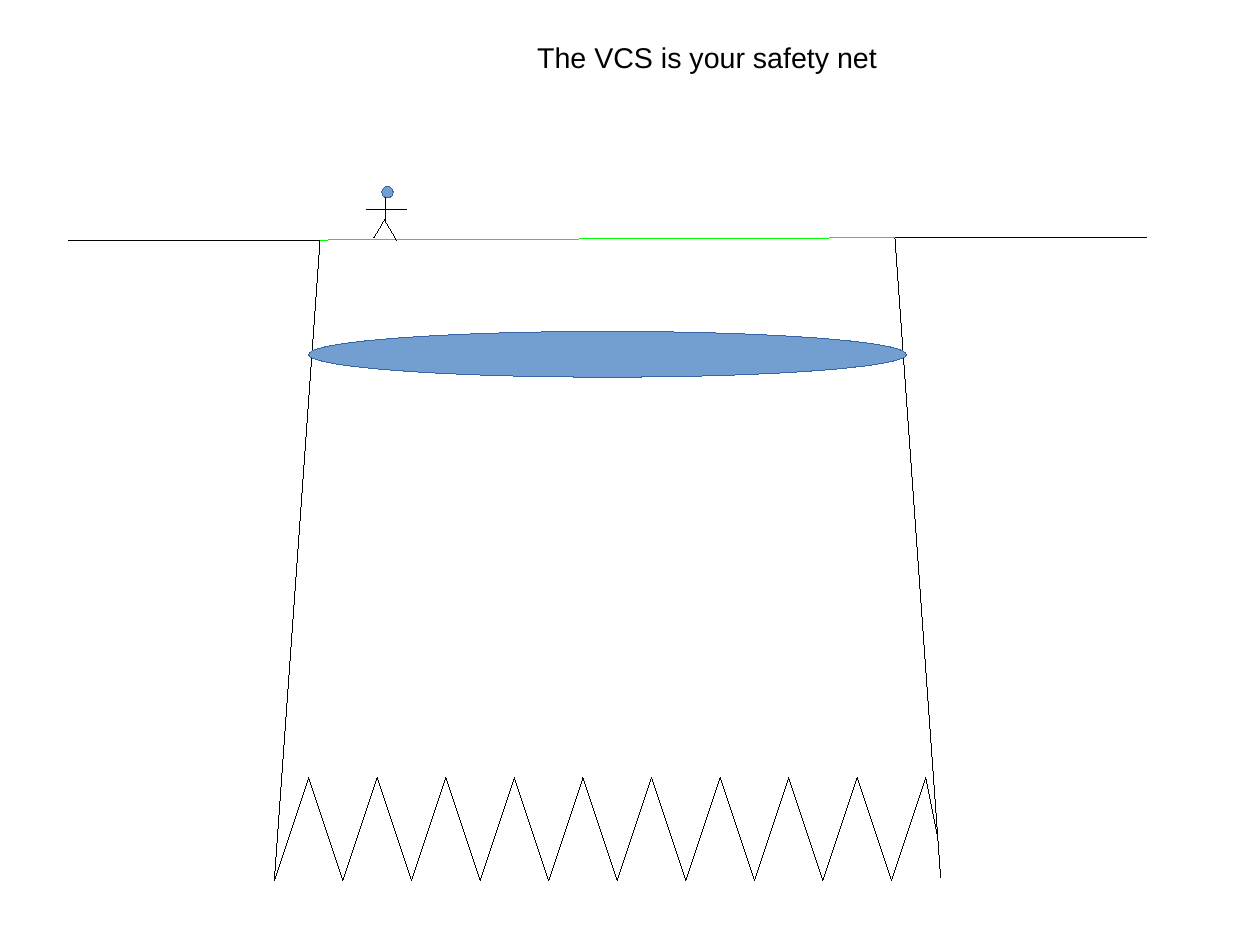
import pptx
import pptx.dml.color
import pptx.enum.shapes
import pptx.enum.text
import pptx.oxml
import pptx.oxml.ns
import pptx.util

COLOURS = {"ink": "000000", "rope": "00FF00", "fill": "729FCF", "edge": "3465A4"}
CELL = 0.1
SPIKES = 10
HAIRLINE = pptx.util.Pt(0.01)


def cells(count):
    """Turn a number of grid columns or rows into a length."""
    return pptx.util.Inches(count * CELL)


def colour(name):
    """Look up a named colour."""
    return pptx.dml.color.RGBColor.from_string(COLOURS[name])


def draw_line(page, box, start, end, name="ink"):
    """Draw a hairline between two grid points measured from the box corner."""
    left, top = box[:2]
    points = [cells(value) for value in
              (left + start[0], top + start[1], left + end[0], top + end[1])]
    line = page.shapes.add_connector(pptx.enum.shapes.MSO_CONNECTOR.STRAIGHT, *points)
    line.line.color.rgb = colour(name)
    line.line.width = HAIRLINE
    properties = line._element.find(pptx.oxml.ns.qn("p:spPr"))
    properties.append(pptx.oxml.parse_xml(
        "<a:effectLst %s/>" % pptx.oxml.ns.nsdecls("a")))


def draw_ellipse(page, box):
    """Draw a blue ellipse that fills the box."""
    ellipse = page.shapes.add_shape(
        pptx.enum.shapes.MSO_SHAPE.OVAL, *[cells(value) for value in box])
    ellipse.shadow.inherit = False
    ellipse.fill.solid()
    ellipse.fill.fore_color.rgb = colour("fill")
    ellipse.line.color.rgb = colour("edge")
    ellipse.line.width = HAIRLINE


def draw_cliff(page, box, direction):
    """Draw level ground up to the box corner and the wall falling from it."""
    width, height = box[2:]
    draw_line(page, box, (direction * 22, 0), (0, 0))
    draw_line(page, box, (0, 0), (direction * width, height))


def draw_spikes(page, box):
    """Draw a row of spikes whose last one meets the right wall."""
    width, height = box[2:]
    pitch = width / (SPIKES - 0.5)
    for index in range(SPIKES):
        foot = index * pitch
        peak = (foot + pitch / 2, 0)
        last = index == SPIKES - 1
        end = (peak[0] + 1, 5) if last else (foot + pitch, height)
        draw_line(page, box, (foot, height), peak)
        draw_line(page, box, peak, end)


def draw_walker(page, box):
    """Draw a stick figure standing in the box."""
    left, top, width, height = box
    middle = 1.6
    limbs = [
        ((middle, 1), (middle, 3)),
        ((middle, 3), (middle + 1, height)),
        ((middle, 2.8), (middle - 1, height - 0.2)),
        ((0, 2), (width, 2)),
    ]
    draw_ellipse(page, (left + 1.3, top, 1, 1))
    for start, end in limbs:
        draw_line(page, box, start, end)


def write_title(page, box):
    """Place and format the title in the box."""
    title = page.shapes.title
    title.left, title.top, title.width, title.height = [cells(value) for value in box]
    frame = title.text_frame
    frame.text = "The VCS is your safety net"
    frame_format = {
        "word_wrap": True,
        "auto_size": pptx.enum.text.MSO_AUTO_SIZE.NONE,
        "vertical_anchor": pptx.enum.text.MSO_ANCHOR.TOP,
        "margin_left": cells(1),
        "margin_right": cells(1),
        "margin_top": cells(0.5),
        "margin_bottom": cells(0.5),
    }
    for key, value in frame_format.items():
        setattr(frame, key, value)
    para = frame.paragraphs[0]
    para.alignment = pptx.enum.text.PP_ALIGN.LEFT
    span = para.runs[0]
    for key, value in {"name": "Arial", "size": pptx.util.Pt(18)}.items():
        setattr(span.font, key, value)
    span.font.color.rgb = colour("ink")


def draw_gorge(page, box):
    """Draw the gorge with its cliffs, spikes, rope, walker and net."""
    left, top, width, height = box
    draw_cliff(page, (left + width, top - 0.2, 4, height), 1)
    draw_cliff(page, (left, top, 4, height), -1)
    draw_spikes(page, (left - 4, top + height - 9, 57, 9))
    draw_line(page, box, (0, 0), (width, -0.2), "rope")
    draw_walker(page, (left + 4.1, top - 4.7, 3.5, 4.7))
    draw_ellipse(page, (left - 1, top + 8, width + 2, 4))


def main():
    """Build and save the deck."""
    deck = pptx.Presentation()
    deck.slide_width = pptx.util.Cm(28)
    deck.slide_height = pptx.util.Cm(21)
    page = deck.slides.add_slide(deck.slide_layouts[5])
    write_title(page, (46, 3, 49, 3.8))
    draw_gorge(page, (28, 21, 50.3, 56))
    deck.save("out.pptx")


if __name__ == "__main__":
    main()
